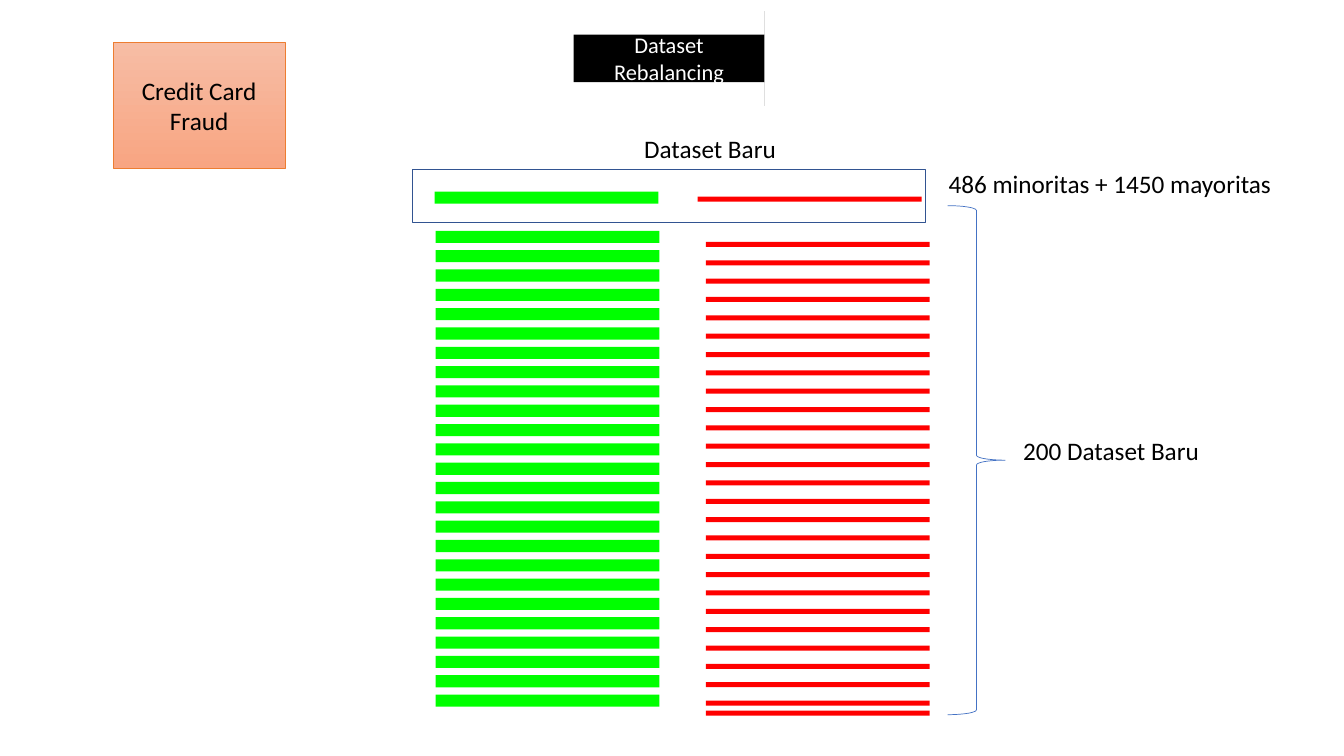
import pptx
import pptx.util
import pptx.dml.color
import pptx.enum.shapes
import pptx.enum.text

Inches = pptx.util.Inches
Pt = pptx.util.Pt
kinds = pptx.enum.shapes.MSO_SHAPE
rgb = pptx.dml.color.RGBColor.from_string

deck = pptx.Presentation()
deck.slide_width = Inches(13.33)
deck.slide_height = Inches(7.5)
slide = deck.slides.add_slide(deck.slide_layouts[6])


def draw(kind, left, top, width, height, fill=None, line=None, weight=0.5):
    shape = slide.shapes.add_shape(
        kind, Inches(left), Inches(top), Inches(width), Inches(height))
    shape.shadow.inherit = False
    if fill:
        shape.fill.solid()
        shape.fill.fore_color.rgb = rgb(fill)
    else:
        shape.fill.background()
    if line:
        shape.line.color.rgb = rgb(line)
        shape.line.width = Pt(weight)
    else:
        shape.line.fill.background()
    return shape


def write(shape, text, size, color, align):
    para = shape.text_frame.paragraphs[0]
    para.text = text
    para.alignment = align
    para.font.size = Pt(size)
    para.font.name = "Calibri"
    para.font.color.rgb = rgb(color)


center = pptx.enum.text.PP_ALIGN.CENTER
left_side = pptx.enum.text.PP_ALIGN.LEFT

# Heading arrow
arrow = draw(kinds.RIGHT_ARROW, 5.69, 0.11, 1.89, 0.94, "000000")
arrow.adjustments[0] = 0.5
arrow.adjustments[1] = 0
write(arrow, "Dataset Rebalancing", 16, "FFFFFF", center)

# Source dataset
source = draw(kinds.RECTANGLE, 1.12, 0.42, 1.71, 1.25, line="ED7D31")
source.fill.gradient()
source.fill.gradient_angle = 270
for stop, color in zip(source.fill.gradient_stops, ("F7BDA5", "F8A582")):
    stop.color.rgb = rgb(color)
write(source, "Credit Card Fraud", 18, "000000", center)

# Bars: green majority, red minority; the first of each sits in the frame
green, red = "00FF00", "FF0000"
bars = [(4.31, 1.9, 0.12, green), (6.92, 1.95, 0.05, red)]
bars += [(4.32, 2.29 + 4.6 * i / 24, 0.12, green) for i in range(25)]
bars += [(7, 2.4 + 4.55 * i / 25, 0.05, red) for i in range(26)]
bars.append((7, 7.05, 0.05, red))
for left, top, height, color in bars:
    draw(kinds.RECTANGLE, left, top, 2.22, height, color)

# Frame around one new dataset
draw(kinds.RECTANGLE, 4.09, 1.68, 5.09, 0.53, line="325491", weight=1)

# Labels
for text, left, top, width in (
        ("Dataset Baru", 6.29, 1.27, 1.52),
        ("200 Dataset Baru", 10.05, 4.27, 1.96),
        ("486 minoritas + 1450 mayoritas", 9.31, 1.62, 3.43)):
    label = slide.shapes.add_textbox(
        Inches(left), Inches(top), Inches(width), Inches(0.4))
    label.text_frame.word_wrap = False
    label.text_frame.auto_size = pptx.enum.text.MSO_AUTO_SIZE.SHAPE_TO_FIT_TEXT
    write(label, text, 18, "000000", left_side)

# Brace over all new datasets
draw(kinds.RIGHT_BRACE, 9.4, 2.04, 0.57, 5.05, line="4472C4")

deck.save("out.pptx")
